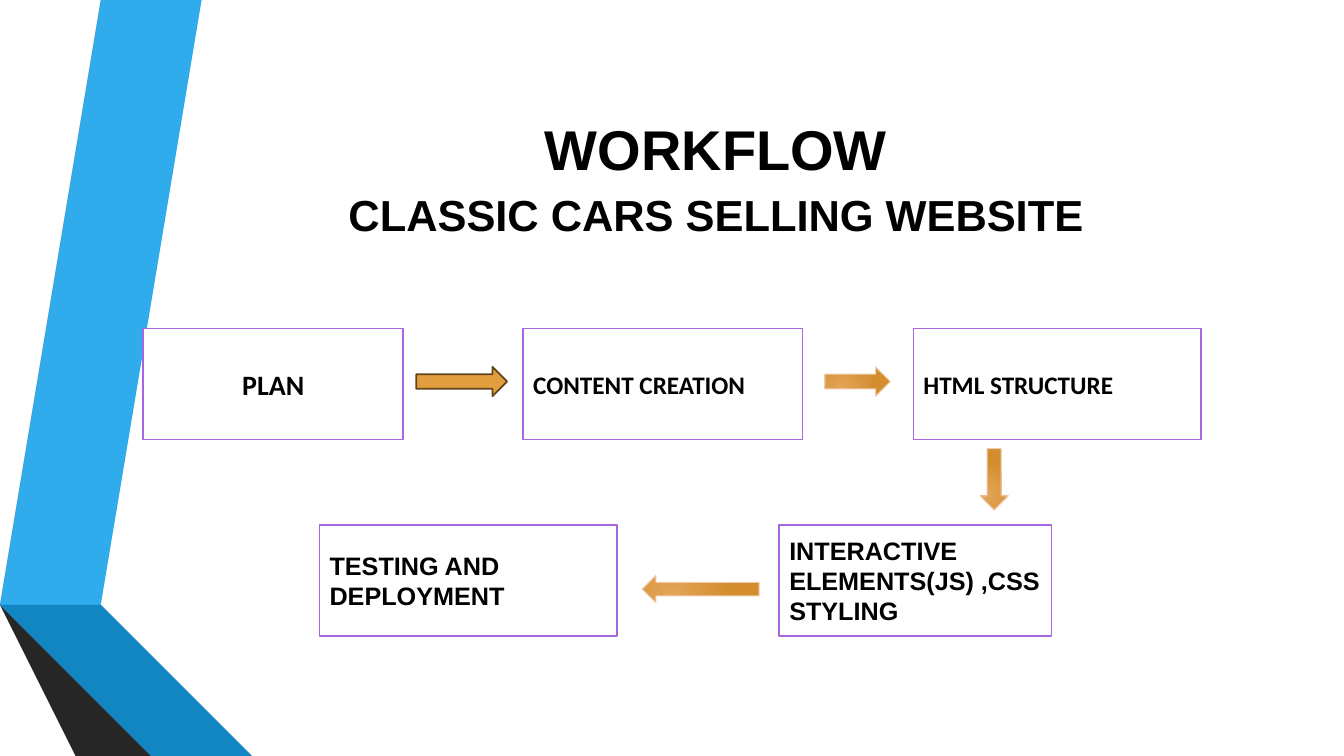
"""Build the workflow slide for the classic cars selling website."""
from dataclasses import dataclass
from typing import Optional

import lxml.etree
import pptx
import pptx.dml.color
import pptx.enum.shapes
import pptx.enum.text
import pptx.oxml.ns
import pptx.util

Inches = pptx.util.Inches
Pt = pptx.util.Pt
Kind = pptx.enum.shapes.MSO_SHAPE
Align = pptx.enum.text.PP_ALIGN


@dataclass(frozen=True)
class Theme:
    ink: str = "000000"
    paper: str = "FFFFFF"
    step_line: str = "A666E1"
    arrow_fill: str = "E29D3E"
    arrow_line: str = "63451B"
    glow_start: str = "E4A559"
    glow_end: str = "D38D2D"
    glow_line: str = "EECCAF"
    sky: str = "30ACEC"
    blue: str = "1287C3"
    navy: str = "0C5A82"
    grey: str = "595959"
    dark_grey: str = "404040"
    charcoal: str = "262626"
    heading_font: str = "Arial"
    label_font: str = "Calibri"
    title_size: float = 40
    subtitle_size: float = 31
    plan_size: float = 20
    step_size: float = 18
    bold_line: float = 1.25
    thin_line: float = 0.75


THEME = Theme()
TOP_ROW, BOTTOM_ROW, STEP_HEIGHT = 3.26, 5.21, 1.1


@dataclass(frozen=True)
class Ribbon:
    color: str
    points: tuple[tuple[float, float], ...]


@dataclass(frozen=True)
class Step:
    label: str
    left: float
    top: float
    width: float
    font: str
    size: float = THEME.step_size
    align: Align = Align.LEFT


@dataclass(frozen=True)
class Arrow:
    kind: Kind
    left: float
    top: float
    width: float
    height: float
    glowing: bool = True


RIBBONS = (
    Ribbon(THEME.sky, ((0.5, 5.78), (0.77, 5.83), (1.73, 0), (1.45, 0))),
    Ribbon(THEME.grey, ((1.39, 0), (1.11, 0), (0.16, 5.73), (0.44, 5.77))),
    Ribbon(THEME.charcoal, ((0.16, 5.73), (1.45, 7.5), (1.51, 7.5))),
    Ribbon(THEME.navy, ((0.5, 5.79), (2.08, 7.5), (2.14, 7.5))),
    Ribbon(THEME.blue, ((0.5, 5.78), (2.14, 7.5), (2.83, 7.5), (0.77, 5.83))),
    Ribbon(THEME.dark_grey, ((2.02, 7.5), (0.48, 5.83), (0.44, 5.77), (0.16, 5.73), (1.51, 7.5))),
)
STEPS = (
    Step("PLAN", 1.42, TOP_ROW, 2.58, THEME.label_font, THEME.plan_size, Align.CENTER),
    Step("CONTENT CREATION", 5.19, TOP_ROW, 2.77, THEME.label_font),
    Step("HTML STRUCTURE", 9.06, TOP_ROW, 2.85, THEME.label_font),
    Step("TESTING AND DEPLOYMENT", 3.17, BOTTOM_ROW, 2.95, THEME.heading_font),
    Step("INTERACTIVE ELEMENTS(JS) ,CSS STYLING", 7.73, BOTTOM_ROW, 2.7, THEME.heading_font),
)
ARROWS = (
    Arrow(Kind.RIGHT_ARROW, 4.13, 3.64, 0.9, 0.29, glowing=False),
    Arrow(Kind.RIGHT_ARROW, 8.18, 3.64, 0.65, 0.29),
    Arrow(Kind.DOWN_ARROW, 9.72, 4.45, 0.28, 0.61),
    Arrow(Kind.LEFT_ARROW, 6.37, 5.71, 1.16, 0.27),
)


def rgb(color: str) -> pptx.dml.color.RGBColor:
    """Turn a hex string into a colour."""
    return pptx.dml.color.RGBColor.from_string(color)


def paint(shape, fill: Optional[str], line: Optional[str] = None, width: float = 0) -> None:
    """Set the fill and outline of a shape and drop its shadow."""
    shape.shadow.inherit = False
    if fill:
        shape.fill.solid()
        shape.fill.fore_color.rgb = rgb(fill)
    if line:
        shape.line.color.rgb = rgb(line)
        shape.line.width = Pt(width)
    else:
        shape.line.fill.background()


def write(paragraph, text: str, *, font: str, size: float, align: Align = Align.LEFT,
          before: float = 0) -> None:
    """Write bold text into a paragraph."""
    paragraph.alignment = align
    if before:
        paragraph.space_before = Pt(before)
    run = paragraph.add_run()
    run.text = text
    run.font.name = font
    run.font.size = Pt(size)
    run.font.bold = True
    run.font.color.rgb = rgb(THEME.ink)


def prepare_frame(shape):
    """Return the wrapping, vertically centred text frame of a shape."""
    frame = shape.text_frame
    frame.word_wrap = True
    frame.vertical_anchor = pptx.enum.text.MSO_ANCHOR.MIDDLE
    return frame


def draw_ribbon(shapes, ribbon: Ribbon) -> None:
    """Draw one band of the side decoration."""
    start, *rest = ribbon.points
    outline = shapes.build_freeform(*start, scale=Inches(1))
    outline.add_line_segments(rest, close=True)
    paint(outline.convert_to_shape(), ribbon.color)


def draw_title(shapes) -> None:
    """Draw the two-line heading."""
    heading = shapes.add_textbox(Inches(1.62), Inches(0.8), Inches(10.96), Inches(1.92))
    frame = prepare_frame(heading)
    write(frame.paragraphs[0], "WORKFLOW", font=THEME.heading_font,
          size=THEME.title_size, align=Align.CENTER)
    write(frame.add_paragraph(), "CLASSIC CARS SELLING WEBSITE", font=THEME.heading_font,
          size=THEME.subtitle_size, align=Align.CENTER, before=4)


def draw_step(shapes, step: Step) -> None:
    """Draw one labelled step of the workflow."""
    box = shapes.add_shape(Kind.RECTANGLE, Inches(step.left), Inches(step.top),
                           Inches(step.width), Inches(STEP_HEIGHT))
    paint(box, THEME.paper, THEME.step_line, THEME.bold_line)
    write(prepare_frame(box).paragraphs[0], step.label, font=step.font,
          size=step.size, align=step.align)


def add_glow(shape) -> None:
    """Fill a shape with a circular gradient."""
    qn = pptx.oxml.ns.qn
    shape.fill.gradient()
    for stop, color in zip(shape.fill.gradient_stops, (THEME.glow_start, THEME.glow_end)):
        stop.color.rgb = rgb(color)
    gradient = shape.element.spPr.find(qn("a:gradFill"))
    gradient.remove(gradient.find(qn("a:lin")))
    circle = lxml.etree.SubElement(gradient, qn("a:path"), {"path": "circle"})
    lxml.etree.SubElement(circle, qn("a:fillToRect"),
                          {"l": "50000", "t": "100000", "r": "100000", "b": "50000"})


def draw_arrow(shapes, arrow: Arrow) -> None:
    """Draw one arrow between two steps."""
    pointer = shapes.add_shape(arrow.kind, Inches(arrow.left), Inches(arrow.top),
                               Inches(arrow.width), Inches(arrow.height))
    if arrow.glowing:
        add_glow(pointer)
        paint(pointer, None, THEME.glow_line, THEME.thin_line)
    else:
        paint(pointer, THEME.arrow_fill, THEME.arrow_line, THEME.bold_line)


def main() -> None:
    """Build and save the presentation."""
    deck = pptx.Presentation()
    deck.slide_width, deck.slide_height = Inches(13.33), Inches(7.5)
    shapes = deck.slides.add_slide(deck.slide_layouts[6]).shapes
    for ribbon in RIBBONS:
        draw_ribbon(shapes, ribbon)
    draw_title(shapes)
    for step in STEPS:
        draw_step(shapes, step)
    for arrow in ARROWS:
        draw_arrow(shapes, arrow)
    deck.save("out.pptx")


if __name__ == "__main__":
    main()
